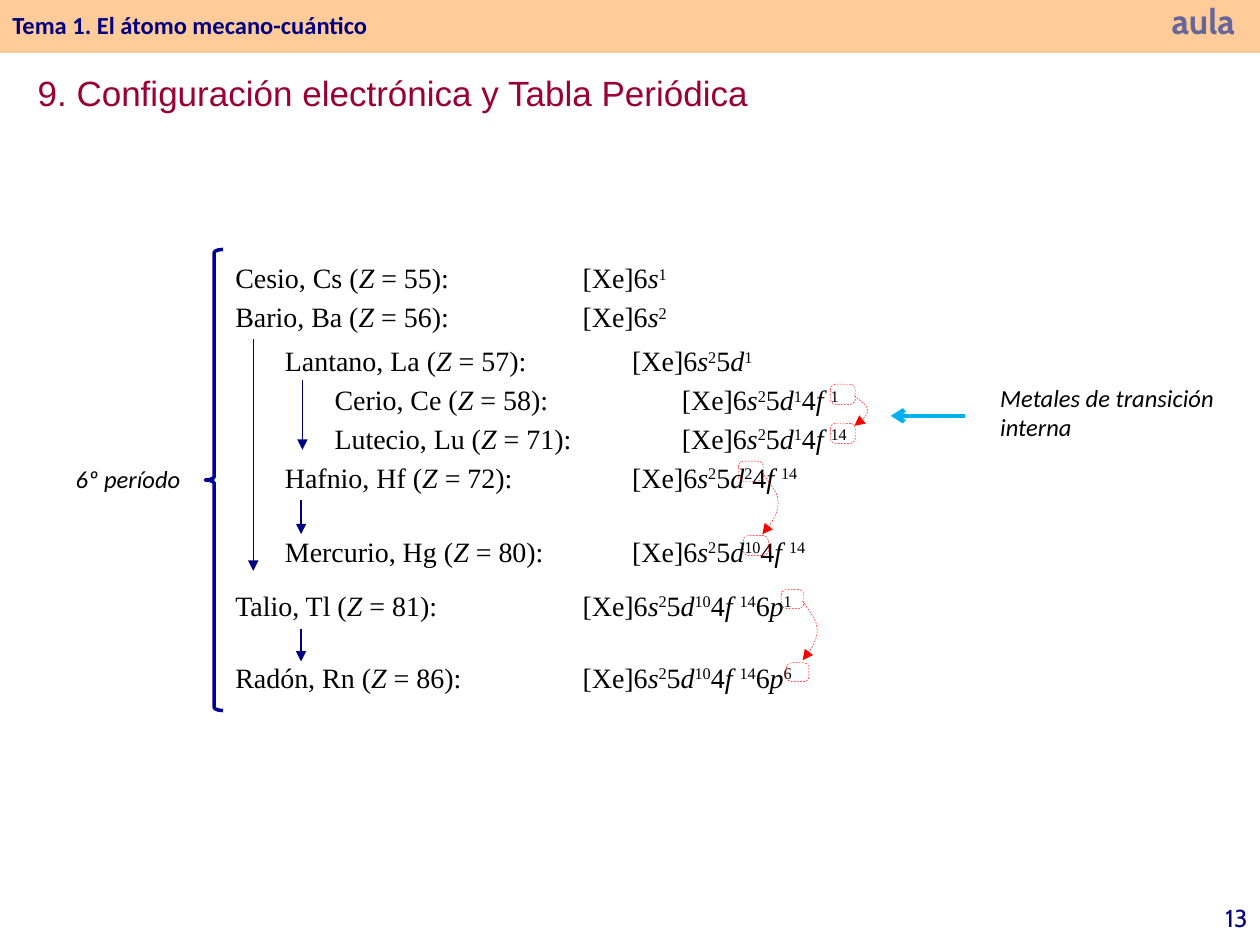
from dataclasses import dataclass

from lxml import etree
from pptx import Presentation
from pptx import util as u
from pptx.dml import color
from pptx.enum import dml, shapes, text
from pptx.oxml import ns

COLUMNS, ROWS = 100, 75
CELL = u.Inches(0.1)
TAB = u.Cm(1)
CONFIG_TAB = 7


@dataclass(frozen=True)
class Theme:
    """Colours, fonts and sizes of the slide."""
    band: str = "FFCC99"
    navy: str = "000080"
    brace: str = "000099"
    mark: str = "666699"
    title: str = "990033"
    ink: str = "000000"
    sky: str = "00B0F0"
    link: str = "FF0000"
    label: str = "Calibri"
    brand: str = "Cabin"
    heading: str = "Arial"
    body: str = "Times New Roman"
    small: int = 14
    medium: int = 16
    large: int = 20
    hairline: float = 0.25
    thin: float = 0.75
    medium_line: float = 2
    thick: float = 2.5


THEME = Theme()


@dataclass(frozen=True)
class Box:
    """A region measured in grid columns and rows."""
    left: float
    top: float
    width: float
    height: float

    def inner(self, dx, dy, width, height):
        """Return a box placed relative to this one."""
        return Box(self.left + dx, self.top + dy, width, height)

    def point(self, dx, dy):
        """Return a point of this box in slide units."""
        return round((self.left + dx) * CELL), round((self.top + dy) * CELL)

    def frame(self):
        """Return left, top, width and height in slide units."""
        return *self.point(0, 0), round(self.width * CELL), round(self.height * CELL)


def rgb(value):
    """Turn a hex string into a colour."""
    return color.RGBColor.from_string(value)


def add_arrowhead(outlined, kind):
    """Put an arrowhead at the end of a line."""
    outline = outlined.element.spPr.find(ns.qn("a:ln"))
    etree.SubElement(outline, ns.qn("a:tailEnd"), type=kind)


def style_outline(outlined, hue, weight, dashed=False):
    """Set the colour, weight and dash of an outline."""
    outlined.line.color.rgb = rgb(hue)
    outlined.line.width = u.Pt(weight)
    if dashed:
        outlined.line.dash_style = dml.MSO_LINE.DASH


def add_outline(parent, kind, box, hue, weight, adjust, dashed=False):
    """Add an unfilled preset shape."""
    outlined = parent.add_shape(kind, *box.frame())
    outlined.shadow.inherit = False
    outlined.fill.background()
    outlined.adjustments[0] = adjust
    style_outline(outlined, hue, weight, dashed)


def add_arrow(slide, start, end, hue, weight, kind):
    """Add a straight arrow between two points."""
    arrow = slide.shapes.add_connector(shapes.MSO_CONNECTOR.STRAIGHT, *start, *end)
    style_outline(arrow, hue, weight)
    add_arrowhead(arrow, kind)
    etree.SubElement(arrow.element.spPr, ns.qn("a:effectLst"))


def add_frame(slide, box, anchor=text.MSO_ANCHOR.TOP):
    """Add an empty wrapping text frame."""
    frame = slide.shapes.add_textbox(*box.frame()).text_frame
    frame.word_wrap = True
    frame.vertical_anchor = anchor
    return frame


def add_run(paragraph, words, font, size, hue, bold=False, italic=False, raised=False):
    """Add one formatted run."""
    run = paragraph.add_run()
    run.text = words
    run.font.name, run.font.size = font, u.Pt(size)
    run.font.bold, run.font.italic = bold, italic
    run.font.color.rgb = rgb(hue)
    if raised:
        run.font._element.set("baseline", "30000")


def add_label(slide, box, words, font, size, hue, align=text.PP_ALIGN.LEFT,
              anchor=text.MSO_ANCHOR.TOP, bold=False, italic=False):
    """Add a single-run label and return its frame."""
    frame = add_frame(slide, box, anchor)
    frame.paragraphs[0].alignment = align
    add_run(frame.paragraphs[0], words, font, size, hue, bold, italic)
    return frame


def add_header(slide, box):
    """Draw the band with the topic and the wordmark."""
    band = slide.shapes.add_shape(shapes.MSO_SHAPE.RECTANGLE, *box.frame())
    band.shadow.inherit = False
    band.fill.solid()
    band.fill.fore_color.rgb = rgb(THEME.band)
    band.line.fill.background()
    add_label(slide, box.inner(0, 0, 72.5, 4), "Tema 1. El átomo mecano-cuántico",
              THEME.label, THEME.small, THEME.navy, anchor=text.MSO_ANCHOR.MIDDLE, bold=True)
    wordmark = add_label(slide, box.inner(91, 0, 9, 3.3), "aula", THEME.brand, THEME.large,
                         THEME.mark, text.PP_ALIGN.CENTER, bold=True)
    wordmark.margin_left = wordmark.margin_right = 0
    wordmark.margin_top = wordmark.margin_bottom = 0


def add_element(paragraph, name, number, level, shells, after):
    """Write one element and its electron configuration."""
    def write(words, **style):
        add_run(paragraph, words, THEME.body, THEME.medium, THEME.ink, **style)

    paragraph.space_after = u.Pt(after)
    stops = etree.SubElement(paragraph._p.get_or_add_pPr(), ns.qn("a:tabLst"))
    for stop in (*range(1, level + 1), CONFIG_TAB + level):
        etree.SubElement(stops, ns.qn("a:tab"), pos=str(stop * TAB), algn="l")
    write("\t" * level + f"{name} (")
    write("Z ", italic=True)
    lead = f"= {number}):\t[Xe]"
    for shell in shells.split():
        write(lead + shell[0])
        write("f " if shell[1] == "f" else shell[1], italic=True)
        write(shell[2:], raised=True)
        lead = ""


def add_elements(slide, box):
    """Write the blocks of elements of the period."""
    blocks = (
        (0, 19.7, (("Cesio, Cs", 55, 0, "6s1", 3),
                   ("Bario, Ba", 56, 0, "6s2", 6),
                   ("Lantano, La", 57, 1, "6s2 5d1", 3),
                   ("Cerio, Ce", 58, 2, "6s2 5d1 4f1", 3),
                   ("Lutecio, Lu", 71, 2, "6s2 5d1 4f14", 3),
                   ("Hafnio, Hf", 72, 1, "6s2 5d2 4f14", 3))),
        (21.7, 3.7, (("Mercurio, Hg", 80, 1, "6s2 5d10 4f14", 3),)),
        (26, 3.7, (("Talio, Tl", 81, 0, "6s2 5d10 4f14 6p1", 3),)),
        (31.7, 3.7, (("Radón, Rn", 86, 0, "6s2 5d10 4f14 6p6", 3),)),
    )
    for top, height, elements in blocks:
        frame = add_frame(slide, box.inner(0, top, box.width, height))
        for index, element in enumerate(elements):
            add_element(frame.add_paragraph() if index else frame.paragraphs[0], *element)
    for column, top, bottom in ((2.4, 6.7, 25.1), (6.3, 10, 15.5),
                                (6.2, 19.5, 22.2), (6.2, 29.7, 32.3)):
        add_arrow(slide, box.point(column, top), box.point(column, bottom),
                  THEME.navy, THEME.thin, "triangle")


def add_period(slide, box):
    """Draw the period label and its brace."""
    add_label(slide, box.inner(0, 16.5, 11.8, 3.4), "6º período", THEME.label, THEME.small,
              THEME.ink, text.PP_ALIGN.RIGHT, italic=True)
    add_outline(slide.shapes, shapes.MSO_SHAPE.LEFT_BRACE, box.inner(12.8, 0, 1.4, box.height),
                THEME.brace, THEME.medium_line, 0.18)


def add_metals(slide, box):
    """Draw the note on inner transition metals and its arrow."""
    add_label(slide, box.inner(7.7, 0, 19, box.height), "Metales de transición interna",
              THEME.label, THEME.small, THEME.ink, italic=True)
    add_arrow(slide, box.point(5.9, 3.1), box.point(0, 3.1), THEME.sky, THEME.thick, "arrow")


def bezier(controls, steps=12):
    """Return the points of a cubic curve after its start."""
    def blend(t, a, b, c, d):
        return (1 - t)**3 * a + 3 * t * (1 - t)**2 * b + 3 * t**2 * (1 - t) * c + t**3 * d

    return [tuple(blend(step / steps, *axis) for axis in zip(*controls))
            for step in range(1, steps + 1)]


def add_link(slide, box, shift, drop, bulge, end):
    """Join two outlined exponents with a curved arrow."""
    group = slide.shapes.add_group_shape().shapes
    edge, start = box.width - 0.1, 0.9

    def bend(out, down):
        return edge + bulge * out, start + (end - start) * down

    middle = bend(1.05, 0.5)
    curve = (bezier((bend(0, 0), bend(0.95, 0.33), bend(1, 0.33), middle))
             + bezier((middle, bend(1.05, 0.67), bend(0.6, 0.83), bend(0, 1))))
    builder = group.build_freeform(*box.point(*bend(0, 0)))
    builder.add_line_segments([box.point(*point) for point in curve], close=False)
    arc = builder.convert_to_shape()
    arc.shadow.inherit = False
    arc.fill.background()
    style_outline(arc, THEME.link, THEME.hairline, dashed=True)
    add_arrowhead(arc, "triangle")
    for dx, dy in ((shift, drop), (0, 0)):
        add_outline(group, shapes.MSO_SHAPE.ROUNDED_RECTANGLE,
                    box.inner(dx, dy, box.width, box.height),
                    THEME.link, THEME.hairline, 0.28, dashed=True)


def main():
    """Build and save the slide."""
    deck = Presentation()
    deck.slide_width, deck.slide_height = COLUMNS * CELL, ROWS * CELL
    slide = deck.slides.add_slide(deck.slide_layouts[6])
    add_header(slide, Box(0, 0, COLUMNS, 4.2))
    add_label(slide, Box(93.3, 70.6, 6.7, 4.4), "13", THEME.brand, THEME.small, THEME.navy,
              text.PP_ALIGN.RIGHT, text.MSO_ANCHOR.MIDDLE)
    add_label(slide, Box(2, 5.2, 75.9, 4.4), "9. Configuración electrónica y Tabla Periódica",
              THEME.heading, THEME.large, THEME.title)
    add_period(slide, Box(3.5, 19.8, 14.2, 36.6))
    add_elements(slide, Box(17.7, 20.2, 53.6, 35.4))
    add_metals(slide, Box(70.7, 29.9, 26.7, 5.7))
    add_link(slide, Box(65.9, 30.5, 2, 1.6), 0, 3.1, 1, 3.3)
    add_link(slide, Box(58.6, 36.6, 2, 1.6), 0.4, 5.9, 1.2, 5.8)
    add_link(slide, Box(62, 46.8, 1.8, 1.5), 0.4, 5.8, 1.1, 5.6)
    deck.save("out.pptx")


if __name__ == "__main__":
    main()
